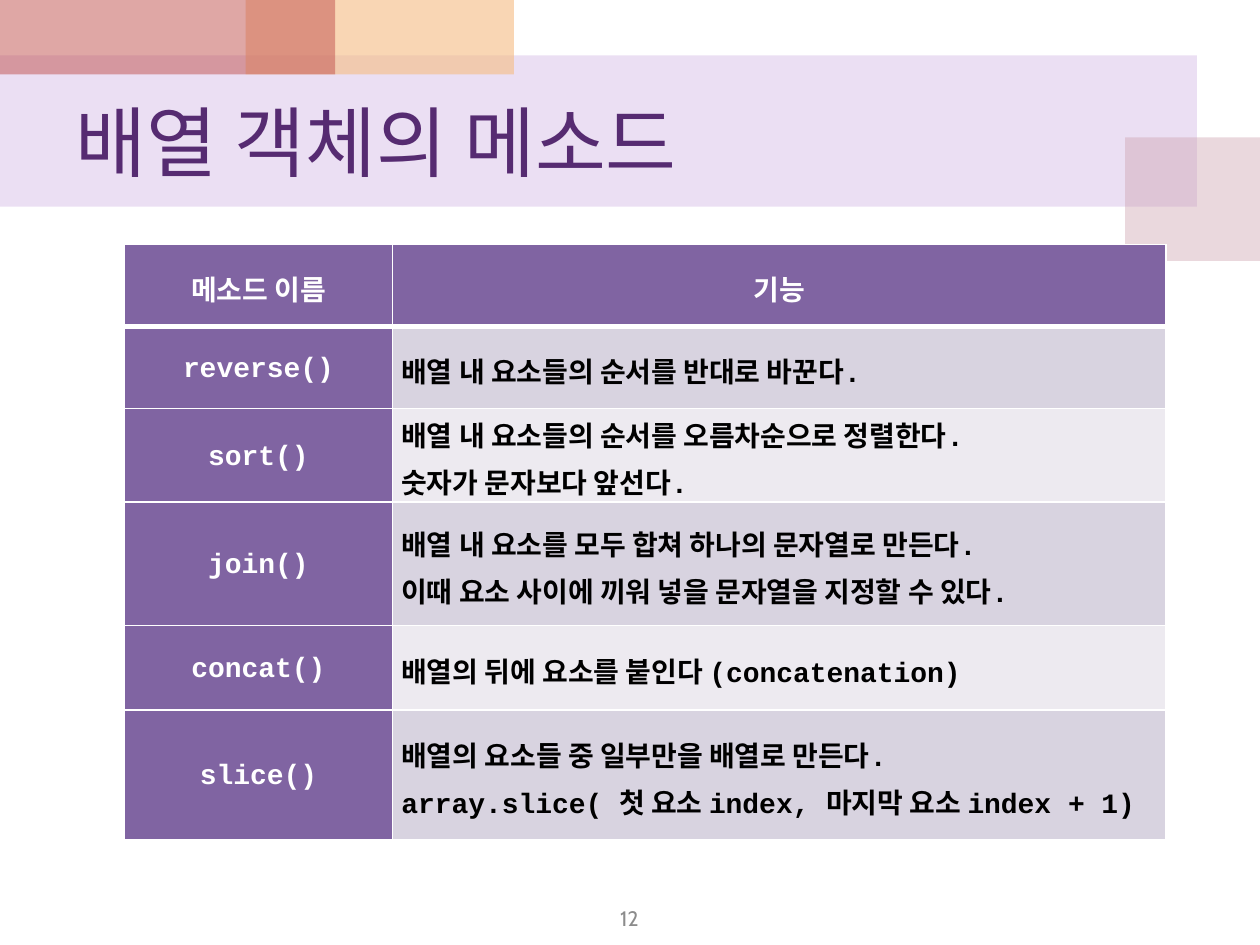
from dataclasses import dataclass

from lxml.etree import SubElement
from pptx import Presentation
from pptx.dml.color import RGBColor
from pptx.enum.shapes import MSO_SHAPE
from pptx.enum.text import MSO_ANCHOR, MSO_AUTO_SIZE, PP_ALIGN
from pptx.oxml.ns import qn
from pptx.slide import Slide
from pptx.table import _Cell as Cell
from pptx.util import Pt

LILAC = RGBColor(0xBF, 0x98, 0xD8)
ROSE = RGBColor(0xCC, 0x9E, 0xAC)
APRICOT = RGBColor(0xF5, 0xBC, 0x83)
BRICK = RGBColor(0xC0, 0x50, 0x4D)
TITLE_PURPLE = RGBColor(0x56, 0x2B, 0x71)
HEADER_PURPLE = RGBColor(0x80, 0x64, 0xA2)
DARK_BAND = RGBColor(0xD8, 0xD3, 0xE0)
LIGHT_BAND = RGBColor(0xED, 0xEA, 0xF0)
GRAY = RGBColor(0x8C, 0x8C, 0x8C)
WHITE = RGBColor(0xFF, 0xFF, 0xFF)
BLACK = RGBColor(0, 0, 0)

HEADING_FONT = "Cabin"
CODE_FONT = "Courier New"


@dataclass(frozen=True)
class Block:
    """A translucent decorative rectangle, in points."""
    left: float
    top: float
    width: float
    height: float
    color: RGBColor
    opacity: int


@dataclass(frozen=True)
class Method:
    """One table row: a method name, its description and its height."""
    name: str
    lines: tuple[str, ...]
    height: float
    align: PP_ALIGN = PP_ALIGN.LEFT


BLOCKS = (
    Block(0, 31.68, 684, 86.4, LILAC, 30),
    Block(642.96, 78.48, 77.04, 70.56, ROSE, 40),
    Block(140.4, 0, 153.36, 42.48, APRICOT, 60),
    Block(0, 0, 191.52, 42.48, BRICK, 50),
)
METHODS = (
    Method("reverse()", ("배열 내 요소들의 순서를 반대로 바꾼다.",), 46.8),
    Method("sort()", ("배열 내 요소들의 순서를 오름차순으로 정렬한다.",
                      "숫자가 문자보다 앞선다."), 48.24),
    Method("join()", ("배열 내 요소를 모두 합쳐 하나의 문자열로 만든다.",
                      "이때 요소 사이에 끼워 넣을 문자열을 지정할 수 있다."),
           70.56, PP_ALIGN.JUSTIFY),
    Method("concat()", ("배열의 뒤에 요소를 붙인다 (concatenation)",), 48.24),
    Method("slice()", ("배열의 요소들 중 일부만을 배열로 만든다.",
                       "array.slice( 첫 요소 index, 마지막 요소 index + 1)"), 70.56),
)
HEADER_HEIGHT = 46.8
COLUMN_WIDTHS = (153.36, 442.08)


def add_block(slide: Slide, block: Block) -> None:
    """Draw one translucent rectangle."""
    shape = slide.shapes.add_shape(
        MSO_SHAPE.RECTANGLE, Pt(block.left), Pt(block.top),
        Pt(block.width), Pt(block.height))
    shape.shadow.inherit = False
    shape.line.fill.background()
    shape.fill.solid()
    shape.fill.fore_color.rgb = block.color
    color = shape.element.spPr.find(qn("a:solidFill"))[0]
    SubElement(color, qn("a:alpha"), val=str(block.opacity * 1000))


def set_title(slide: Slide, text: str) -> None:
    """Place the title in front of the blocks and format it."""
    title = slide.shapes.title
    title.element.getparent().append(title.element)
    title.left, title.top, title.width, title.height = (
        Pt(36), Pt(42.48), Pt(648), Pt(75.6))
    frame = title.text_frame
    frame.text = text
    frame.auto_size = MSO_AUTO_SIZE.NONE
    frame.vertical_anchor = MSO_ANCHOR.MIDDLE
    paragraph = frame.paragraphs[0]
    paragraph.alignment = PP_ALIGN.LEFT
    paragraph.font.name = HEADING_FONT
    paragraph.font.size = Pt(44)
    paragraph.font.color.rgb = TITLE_PURPLE


def set_borders(cell: Cell, bottom: float) -> None:
    """Give a cell white borders with the chosen bottom width."""
    properties = cell._tc.get_or_add_tcPr()
    for side, width in (("L", 1), ("R", 1), ("T", 1), ("B", bottom)):
        line = SubElement(properties, qn(f"a:ln{side}"), w=str(Pt(width)))
        fill = SubElement(line, qn("a:solidFill"))
        SubElement(fill, qn("a:srgbClr"), val=str(WHITE))


def fill_cell(cell: Cell, lines: tuple[str, ...], fill: RGBColor, color: RGBColor,
              font: str = CODE_FONT, align: PP_ALIGN = PP_ALIGN.CENTER,
              bottom: float = 1) -> None:
    """Write the text of a cell and set its look."""
    set_borders(cell, bottom)
    cell.fill.solid()
    cell.fill.fore_color.rgb = fill
    cell.vertical_anchor = MSO_ANCHOR.MIDDLE
    cell.margin_left = cell.margin_right = Pt(5)
    cell.margin_top = cell.margin_bottom = Pt(0)
    cell.text_frame.text = "\n".join(lines)
    for paragraph in cell.text_frame.paragraphs:
        paragraph.alignment = align
        paragraph.line_spacing = 1.15
        paragraph.font.name = font
        paragraph.font.size = Pt(16)
        paragraph.font.bold = True
        paragraph.font.color.rgb = color


def add_method_table(slide: Slide) -> None:
    """Add the table of array methods."""
    heights = [HEADER_HEIGHT, *(method.height for method in METHODS)]
    table = slide.shapes.add_table(
        len(heights), len(COLUMN_WIDTHS), Pt(71), Pt(139.8),
        Pt(sum(COLUMN_WIDTHS)), Pt(sum(heights))).table
    for column, width in zip(table.columns, COLUMN_WIDTHS):
        column.width = Pt(width)
    for row, height in zip(table.rows, heights):
        row.height = Pt(height)
    for index, heading in enumerate(("메소드 이름", "기능")):
        fill_cell(table.cell(0, index), (heading,), HEADER_PURPLE, WHITE,
                  font=HEADING_FONT, bottom=3)
    for index, method in enumerate(METHODS, start=1):
        band = DARK_BAND if index % 2 else LIGHT_BAND
        fill_cell(table.cell(index, 0), (method.name,), HEADER_PURPLE, WHITE)
        fill_cell(table.cell(index, 1), method.lines, band, BLACK,
                  align=method.align)


def add_page_number(slide: Slide, number: str) -> None:
    """Write the page number at the foot of the slide."""
    frame = slide.shapes.add_textbox(
        Pt(275.76), Pt(514.8), Pt(167.76), Pt(19.44)).text_frame
    frame.word_wrap = True
    frame.vertical_anchor = MSO_ANCHOR.MIDDLE
    frame.text = number
    paragraph = frame.paragraphs[0]
    paragraph.alignment = PP_ALIGN.CENTER
    paragraph.font.name = HEADING_FONT
    paragraph.font.size = Pt(12)
    paragraph.font.color.rgb = GRAY


def main() -> None:
    """Build and save the presentation."""
    presentation = Presentation()
    presentation.slide_width = Pt(720)
    presentation.slide_height = Pt(540)
    slide = presentation.slides.add_slide(presentation.slide_layouts[5])
    for block in BLOCKS:
        add_block(slide, block)
    set_title(slide, "배열 객체의 메소드")
    add_method_table(slide)
    add_page_number(slide, "12")
    presentation.save("out.pptx")


main()
